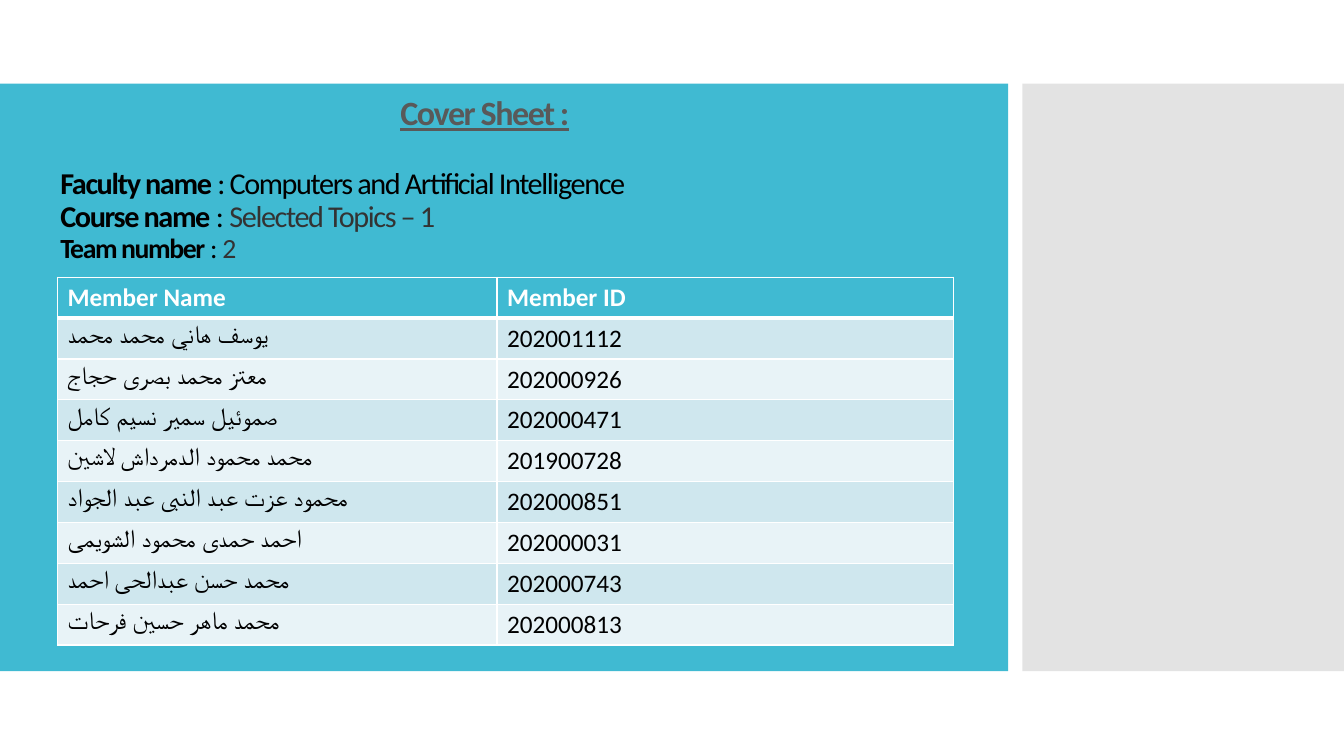
from lxml import etree
from pptx import Presentation
from pptx.dml.color import RGBColor
from pptx.enum.shapes import MSO_SHAPE as SHAPE
from pptx.enum.text import MSO_ANCHOR as ANCHOR, PP_ALIGN as ALIGN
from pptx.oxml.ns import qn
from pptx.util import Inches, Pt

COLORS = {
    "teal": "40BAD2", "grey": "C8C8C8", "white": "FFFFFF", "black": "000000",
    "heading": "595959", "value": "333333", "odd": "CFE7EE", "even": "E8F3F7",
}
MEMBERS = [
    ("Member Name", "Member ID"),
    ("يوسف هاني محمد محمد", "202001112"),
    ("معتز محمد بصرى حجاج", "202000926"),
    ("صموئيل سمير نسيم كامل", "202000471"),
    ("محمد محمود الدمرداش لاشين", "201900728"),
    ("محمود عزت عبد النبى عبد الجواد", "202000851"),
    ("احمد حمدى محمود الشويمى", "202000031"),
    ("محمد حسن عبدالحى احمد", "202000743"),
    ("محمد ماهر حسين فرحات", "202000813"),
]
HEADING = [[("Cover Sheet :", 24.3, "heading", True)]]
DETAILS = [
    [("Faculty name", 21.6, "black", True),
     (" : Computers and Artificial Intelligence", 21.6, "black", False)],
    [("Course name", 21.6, "black", True), (" : ", 21.6, "black", False),
     ("Selected Topics – 1", 21.6, "value", False)],
    [("Team number ", 19.8, "black", True), (": ", 19.8, "black", False),
     ("2", 19.8, "value", False)],
]


def color(name):
    return RGBColor.from_string(COLORS[name])


def add_span(para, text, size, tint, bold):
    span = para.add_run()
    span.text = text
    formats = {"name": "Calibri", "size": Pt(size), "bold": bold}
    for key, value in formats.items():
        setattr(span.font, key, value)
    span.font.color.rgb = color(tint)
    return span


deck = Presentation()
deck.slide_width, deck.slide_height = Inches(13.33), Inches(7.5)
page = deck.slides.add_slide(deck.slide_layouts[6])

for left, width, tint in [(0, 10, "teal"), (10.14, 3.19, "grey")]:
    panel = page.shapes.add_shape(
        SHAPE.RECTANGLE, Inches(left), Inches(0.83), Inches(width), Inches(5.83))
    panel.shadow.inherit = False
    panel.fill.solid()
    panel.fill.fore_color.rgb = color(tint)
    panel.line.fill.background()
    if tint == "grey":
        shade = panel.fill._xPr.find(".//" + qn("a:srgbClr"))
        etree.SubElement(shade, qn("a:alpha"), val="50000")

for (left, top, width, height), lines, align in [
    ((3.81, 0.87, 2, 0.5), HEADING, ALIGN.CENTER),
    ((0.5, 1.57, 9, 1.1), DETAILS, ALIGN.LEFT),
]:
    box = page.shapes.add_textbox(
        Inches(left), Inches(top), Inches(width), Inches(height))
    frame = box.text_frame
    frame.word_wrap = True
    frame.vertical_anchor = ANCHOR.BOTTOM
    for number, line in enumerate(lines):
        para = frame.add_paragraph() if number else frame.paragraphs[0]
        para.alignment = align
        para.line_spacing = 0.9
        for part in line:
            span = add_span(para, *part)
            span.font.underline = lines is HEADING
            span.font._element.set("spc", "-100")

table = page.shapes.add_table(
    len(MEMBERS), 2, Inches(0.57), Inches(2.75), Inches(8.89), Inches(3.65)).table
for column, width in zip(table.columns, (4.36, 4.53)):
    column.width = Inches(width)

for row, member in enumerate(MEMBERS):
    table.rows[row].height = Inches(3.65 / len(MEMBERS))
    fill = "teal" if row == 0 else "odd" if row % 2 else "even"
    for column, text in enumerate(member):
        cell = table.cell(row, column)
        add_span(cell.text_frame.paragraphs[0], text, 18,
                 "black" if row else "white", row == 0)
        props = cell._tc.get_or_add_tcPr()
        weights = {"lnL": 1, "lnR": 1, "lnT": 3 if row == 1 else 1,
                   "lnB": 1 if row else 3}
        for side, weight in weights.items():
            border = etree.SubElement(props, qn("a:" + side), w=str(Pt(weight)))
            paint = etree.SubElement(border, qn("a:solidFill"))
            etree.SubElement(paint, qn("a:srgbClr"), val=COLORS["white"])
        cell.fill.solid()
        cell.fill.fore_color.rgb = color(fill)

deck.save("out.pptx")
